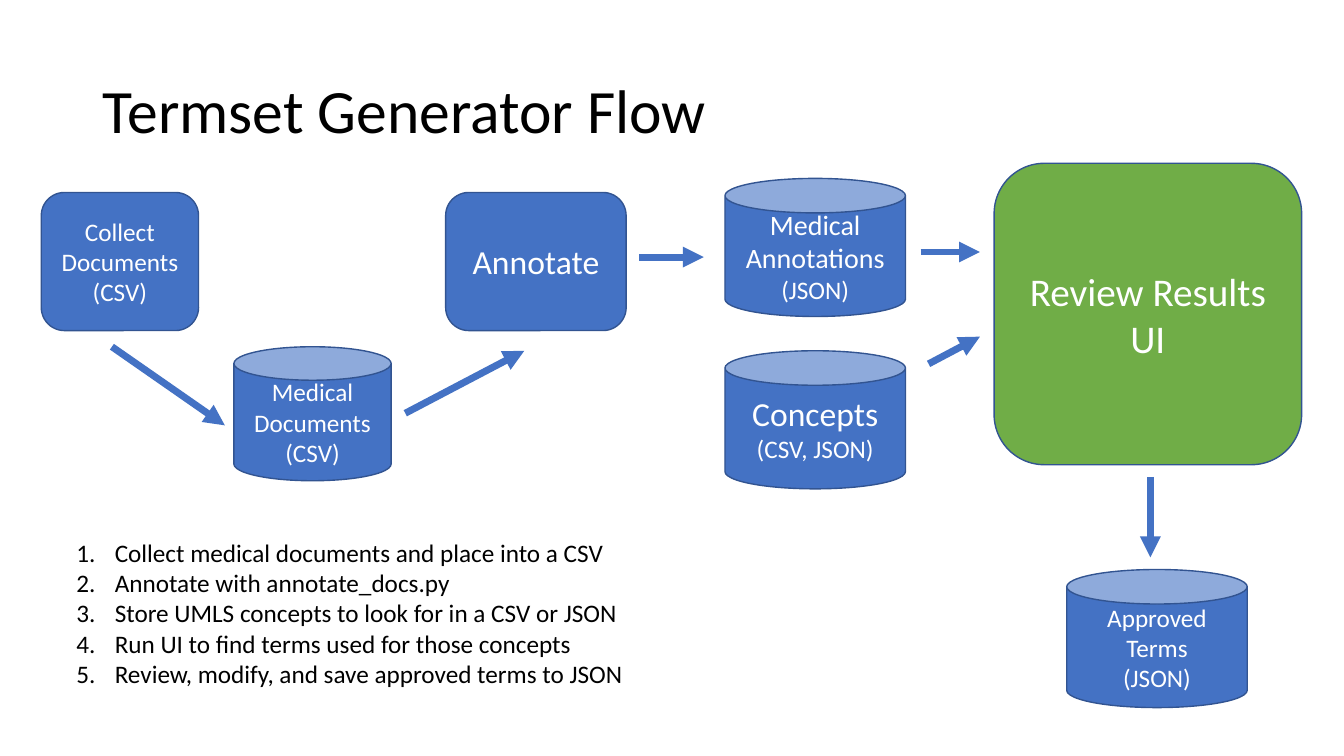
from dataclasses import dataclass

from lxml.etree import SubElement
from pptx import Presentation
from pptx.dml.color import RGBColor
from pptx.enum.shapes import MSO_CONNECTOR as Connector, MSO_SHAPE as Shape
from pptx.enum.text import MSO_ANCHOR as Anchor, PP_ALIGN as Align
from pptx.oxml.ns import qn
from pptx.util import Inches, Pt


@dataclass(frozen=True)
class Theme:
    font: str = "Calibri"
    blue: str = "4472C4"
    green: str = "70AD47"
    outline: str = "325491"
    light: str = "FFFFFF"
    dark: str = "000000"
    title: int = 44
    stage: int = 28
    step: int = 24
    store: int = 20
    body: int = 18
    outline_width: int = 1
    arrow_width: int = 5


THEME = Theme()

STEPS = [
    "Collect medical documents and place into a CSV",
    "Annotate with annotate_docs.py",
    "Store UMLS concepts to look for in a CSV or JSON",
    "Run UI to find terms used for those concepts",
    "Review, modify, and save approved terms to JSON",
]


def paint(color_format, color):
    color_format.rgb = RGBColor.from_string(color)


def add_span(para, text, size, color):
    span = para.add_run()
    span.text = text
    span.font.name = THEME.font
    span.font.size = Pt(size)
    paint(span.font.color, color)


def add_paras(frame, lines, color, align):
    for index, (text, size) in enumerate(lines):
        para = frame.paragraphs[0] if index == 0 else frame.add_paragraph()
        para.alignment = align
        add_span(para, text, size, color)


def add_title(page, text):
    title = page.shapes.title
    title.left, title.top = Inches(0.92), Inches(0.4)
    title.width, title.height = Inches(11.5), Inches(1.45)
    title.text_frame.vertical_anchor = Anchor.MIDDLE
    add_paras(title.text_frame, [(text, THEME.title)], THEME.dark, Align.LEFT)
    title.text_frame.paragraphs[0].line_spacing = 0.9


def add_node(page, kind, place, lines, fill=THEME.blue):
    node = page.shapes.add_shape(kind, *map(Inches, place))
    node.shadow.inherit = False
    node.fill.solid()
    paint(node.fill.fore_color, fill)
    paint(node.line.color, THEME.outline)
    node.line.width = Pt(THEME.outline_width)
    node.text_frame.word_wrap = True
    node.text_frame.vertical_anchor = Anchor.MIDDLE
    add_paras(node.text_frame, lines, THEME.light, Align.CENTER)


def add_arrow(page, start, end):
    arrow = page.shapes.add_connector(
        Connector.STRAIGHT, *map(Inches, (*start, *end)))
    paint(arrow.line.color, THEME.blue)
    arrow.line.width = Pt(THEME.arrow_width)
    SubElement(arrow.line._get_or_add_ln(), qn("a:tailEnd"), type="triangle")
    SubElement(arrow._element.spPr, qn("a:effectLst"))


def add_numbered_list(page, place, items):
    box = page.shapes.add_textbox(*map(Inches, place))
    box.text_frame.word_wrap = False
    lines = [(item, THEME.body) for item in items]
    add_paras(box.text_frame, lines, THEME.dark, Align.LEFT)
    indent = Inches(0.38)
    for para in box.text_frame.paragraphs:
        props = para._p.get_or_add_pPr()
        props.set("marL", str(indent))
        props.set("indent", str(-indent))
        SubElement(props, qn("a:buFont"), typeface="+mj-lt")
        SubElement(props, qn("a:buAutoNum"), type="arabicPeriod")


def main():
    deck = Presentation()
    deck.slide_width, deck.slide_height = Inches(13.33), Inches(7.5)
    page = deck.slides.add_slide(deck.slide_layouts[5])
    add_title(page, "Termset Generator Flow")

    small, large = THEME.body, THEME.step
    wide = (1.79, 1.37)
    csv, json = ("(CSV)", small), ("(JSON)", small)
    nodes = [
        (Shape.ROUNDED_RECTANGLE, (0.41, 1.91, 1.56, 1.37),
         [("Collect Documents", small), csv]),
        (Shape.CAN, (2.32, 3.44, 1.56, 1.33),
         [("Medical Documents", small), csv]),
        (Shape.ROUNDED_RECTANGLE, (4.42, 1.91, *wide), [("Annotate", large)]),
        (Shape.CAN, (7.19, 1.77, *wide),
         [("Medical Annotations", THEME.store), json]),
        (Shape.CAN, (7.19, 3.48, *wide),
         [("Concepts", large), ("(CSV, JSON)", small)]),
        (Shape.ROUNDED_RECTANGLE, (9.86, 1.62, 3.05, 2.99),
         [("Review Results UI", THEME.stage)], THEME.green),
        (Shape.CAN, (10.58, 5.65, *wide), [("Approved Terms", small), json]),
    ]
    for node in nodes:
        add_node(page, *node)

    arrows = [
        ((1.11, 3.44), (2.23, 4.22)),
        ((4.02, 4.1), (5.2, 3.48)),
        ((6.34, 2.55), (6.98, 2.55)),
        ((9.13, 2.5), (9.72, 2.5)),
        ((9.21, 3.61), (9.72, 3.34)),
        ((11.41, 4.73), (11.41, 5.53)),
    ]
    for start, end in arrows:
        add_arrow(page, start, end)

    add_numbered_list(page, (0.66, 5.28, 5.68, 1.62), STEPS)
    deck.save("out.pptx")


main()
